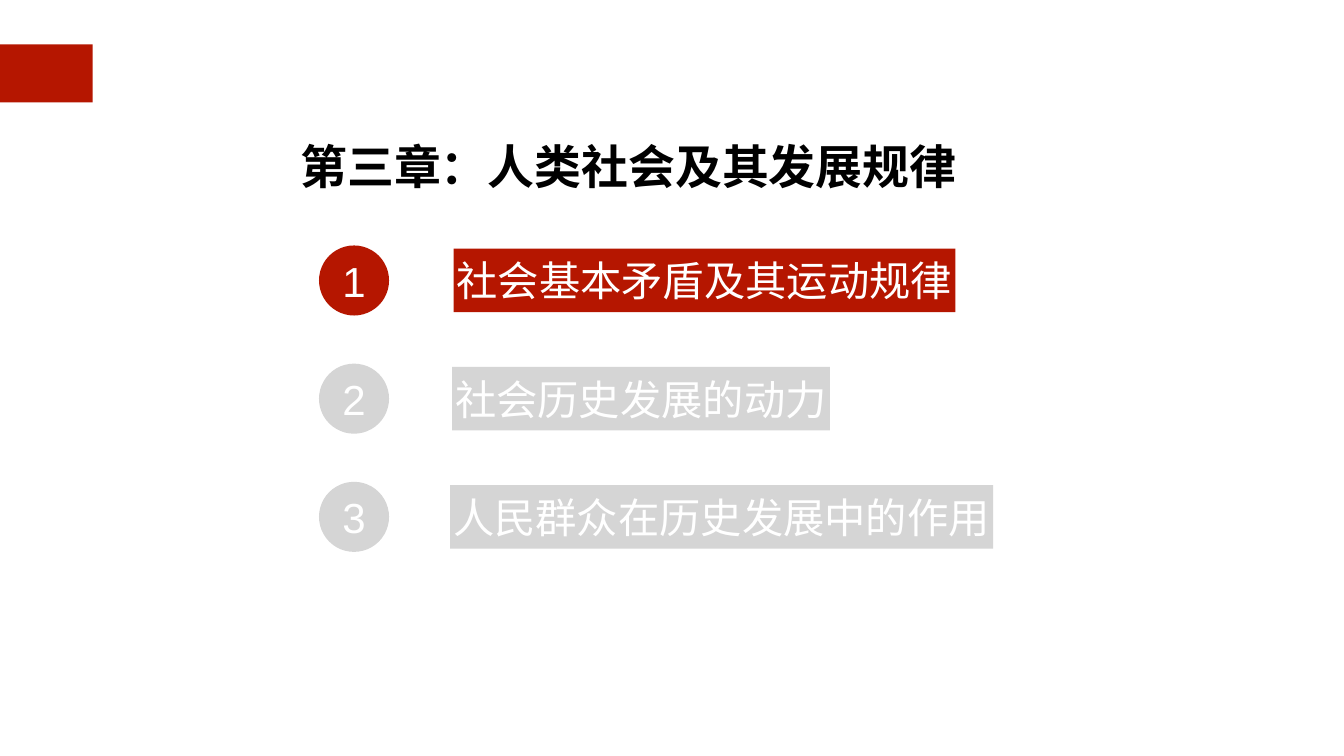
from pptx import Presentation
from pptx.dml.color import RGBColor
from pptx.enum.shapes import MSO_SHAPE
from pptx.enum.text import MSO_ANCHOR, MSO_AUTO_SIZE, PP_ALIGN
from pptx.util import Inches, Pt

RECT, OVAL = MSO_SHAPE.RECTANGLE, MSO_SHAPE.OVAL
MIDDLE = MSO_ANCHOR.MIDDLE
LEFT, CENTER = PP_ALIGN.LEFT, PP_ALIGN.CENTER
GROW = MSO_AUTO_SIZE.SHAPE_TO_FIT_TEXT
RED = RGBColor(0xB5, 0x16, 0x00)
GREY = RGBColor(0xD5, 0xD5, 0xD5)
WHITE = RGBColor(0xFF, 0xFF, 0xFF)
BLACK = RGBColor(0, 0, 0)
FONT = "Arial"
WIDTH, HEIGHT = 26.67, 15
TOP, STEP = 4.87, 2.345
DOT, BAR = 1.39, 1.26
GLYPH, PAD = 0.82, 0.06
TITLE = "第三章：人类社会及其发展规律"
ITEMS = [
    ("社会基本矛盾及其运动规律", 9, RED),
    ("社会历史发展的动力", 8.97, GREY),
    ("人民群众在历史发展中的作用", 8.93, GREY),
]


def add_block(slide, kind, box, fill):
    """Add a filled shape without line or shadow."""
    shape = slide.shapes.add_shape(kind, *map(Inches, box))
    shape.shadow.inherit = False
    shape.fill.solid()
    shape.fill.fore_color.rgb = fill
    shape.line.fill.background()
    return shape


def write(shape, text, size, color, align, pad=0, bold=False):
    """Write one middle-anchored run and return its paragraph."""
    frame = shape.text_frame
    frame.vertical_anchor = MIDDLE
    frame.margin_left = frame.margin_right = Inches(pad)
    frame.margin_top = frame.margin_bottom = Inches(pad)
    if pad:
        frame.word_wrap = False
        frame.auto_size = GROW
    para = frame.paragraphs[0]
    para.alignment = align
    run = para.add_run()
    run.text = text
    font = run.font
    font.name, font.size, font.bold = FONT, Pt(size), bold
    font.color.rgb = color
    return para


def add_title(slide):
    """Add the chapter heading."""
    box = slide.shapes.add_textbox(*map(Inches, (5.9, 2.3, 13.15, 1.42)))
    write(box, TITLE, 67, BLACK, LEFT, PAD, True).line_spacing = 1.5


def add_item(slide, row, text, left, fill):
    """Add a numbered dot and a bar as wide as its text."""
    top = TOP + row * STEP
    dot = add_block(slide, OVAL, (6.33, top, DOT, DOT), fill)
    write(dot, str(row + 1), 60, WHITE, CENTER)
    wide = GLYPH * len(text) + 2 * PAD
    bar = add_block(slide, RECT, (left, top + (DOT - BAR) / 2, wide, BAR), fill)
    write(bar, text, 59, WHITE, CENTER, PAD)


def main():
    """Build the chapter outline slide."""
    deck = Presentation()
    deck.slide_width, deck.slide_height = Inches(WIDTH), Inches(HEIGHT)
    slide = deck.slides.add_slide(deck.slide_layouts[6])
    add_block(slide, RECT, (-0.03, 0.88, 1.87, 1.15), RED)
    add_title(slide)
    for row, item in enumerate(ITEMS):
        add_item(slide, row, *item)
    deck.save("out.pptx")


if __name__ == "__main__":
    main()
